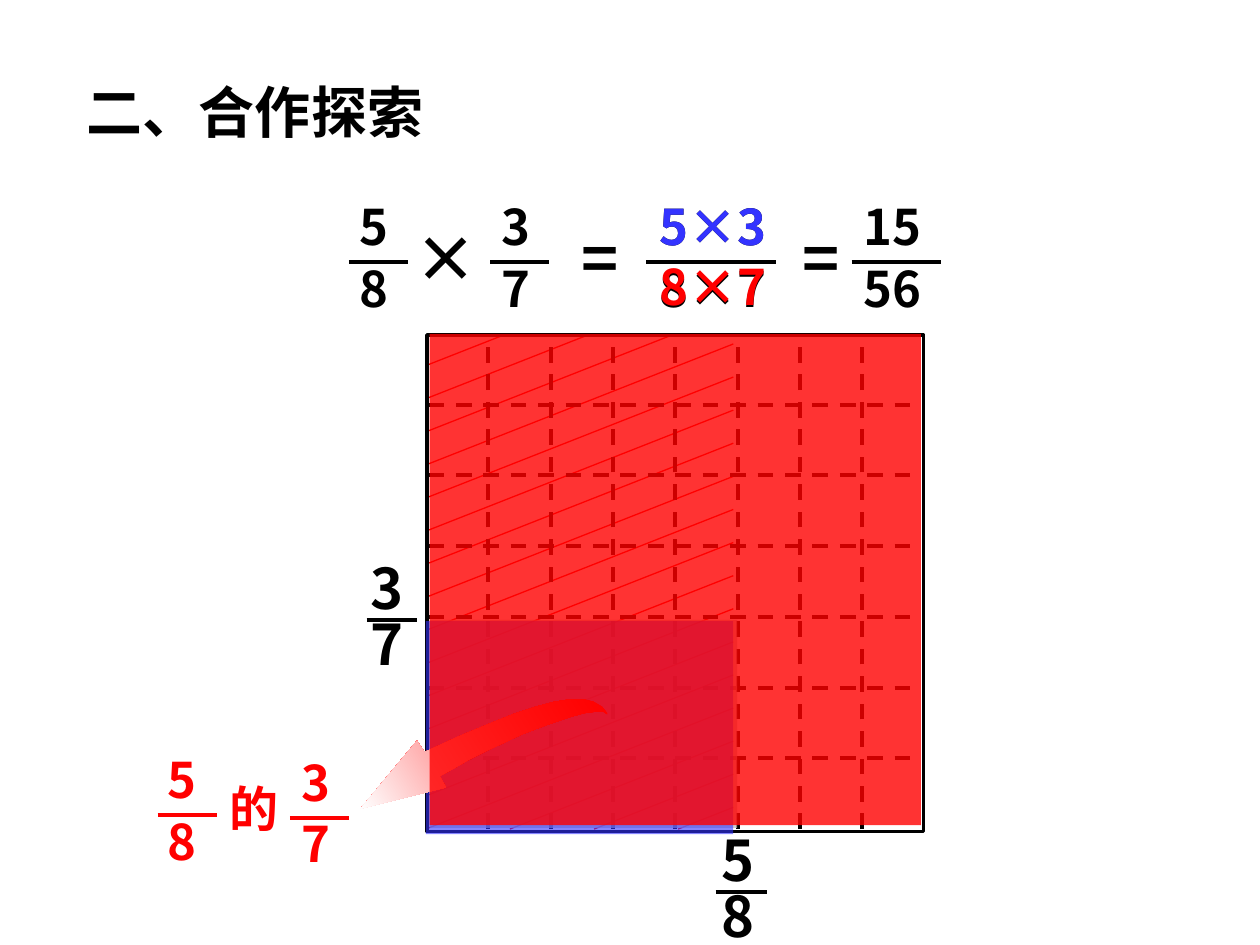
from lxml import etree
from pptx import Presentation
from pptx.dml import color
from pptx.enum import dml, shapes, text
from pptx.oxml import ns
from pptx.util import Inches, Pt

FONT = "Noto Sans CJK SC"
LEFT, TOP, RIGHT, BOTTOM = 3.38, 2.65, 7.34, 6.58
ARROW = [
    (4.82, 5.66), (4.78, 5.61), (4.71, 5.57), (4.63, 5.55), (4.53, 5.55),
    (4.4, 5.57), (4.25, 5.61), (4.07, 5.67), (3.87, 5.75), (3.63, 5.85),
    (3.37, 5.97), (3.31, 5.88), (2.86, 6.42), (3.54, 6.25), (3.49, 6.16),
    (3.6, 6.1), (3.72, 6.03), (3.86, 5.96), (3.99, 5.9), (4.14, 5.83),
    (4.27, 5.78), (4.41, 5.73), (4.53, 5.69), (4.64, 5.66), (4.72, 5.65),
    (4.79, 5.65), (4.82, 5.67),
]


def rgb(value):
    return color.RGBColor.from_string(value)


def write(sp, value, size=28, fill="000000", font=FONT, align=text.PP_ALIGN.CENTER,
          anchor=text.MSO_ANCHOR.TOP):
    tf = sp.text_frame
    tf.word_wrap = True
    tf.auto_size = text.MSO_AUTO_SIZE.NONE
    tf.vertical_anchor = anchor
    p = tf.paragraphs[0]
    p.alignment = align
    r = p.add_run()
    r.text = value
    r.font.name = font
    r.font.size = Pt(size)
    r.font.bold = True
    r.font.color.rgb = rgb(fill)
    ea = etree.SubElement(r._r.get_or_add_rPr(), ns.qn("a:ea"))
    ea.set("typeface", FONT)


def add_text(slide, value, x, y, w, h, **fmt):
    sp = slide.shapes.add_textbox(Inches(x), Inches(y), Inches(w), Inches(h))
    write(sp, value, **fmt)


def add_line(slide, x1, y1, x2, y2, line="000000", width=2.25, dashed=False):
    sp = slide.shapes.add_connector(
        shapes.MSO_CONNECTOR.STRAIGHT, Inches(x1), Inches(y1), Inches(x2), Inches(y2))
    sp.line.color.rgb = rgb(line)
    sp.line.width = Pt(width)
    if dashed:
        sp.line.dash_style = dml.MSO_LINE.DASH
    etree.SubElement(sp._element.spPr, ns.qn("a:effectLst"))


def add_rect(slide, x, y, w, h, fill=None, alpha=100):
    sp = slide.shapes.add_shape(
        shapes.MSO_SHAPE.RECTANGLE, Inches(x), Inches(y), Inches(w), Inches(h))
    sp.shadow.inherit = False
    if fill:
        sp.fill.solid()
        sp.fill.fore_color.rgb = rgb(fill)
        sp.line.fill.background()
        clr = sp._element.spPr.find(".//" + ns.qn("a:srgbClr"))
        etree.SubElement(clr, ns.qn("a:alpha")).set("val", str(alpha * 1000))
    else:
        sp.fill.background()
        sp.line.color.rgb = rgb("000000")
        sp.line.width = Pt(2.25)


def add_fraction(slide, top, bottom, x, y, w, bar, size=28, fill="000000"):
    h, step, drop = (0.57, 0.49, 0.57) if size == 28 else (0.64, 0.45, 0.58)
    add_text(slide, top, x, y, w, h, size=size, fill=fill)
    add_text(slide, bottom, x, y + step, w, h, size=size, fill=fill)
    add_line(slide, bar[0], y + drop, bar[1], y + drop, line=fill)


def add_hatching(slide):
    right, rise, gap = 5.82, 0.96, 0.2627
    run = right - LEFT
    for i in range(-3, 15):
        y = 2.73 + gap * i
        y1, y2 = max(y, TOP), min(y + rise, BOTTOM)
        x1 = right - (y1 - y) / rise * run
        x2 = right - (y2 - y) / rise * run
        add_line(slide, x1, y1, x2, y2, line="FF0000", width=0.75)


def add_grid(slide):
    add_rect(slide, 3.39, 2.66, 3.94, 3.94)
    for i in range(1, 7):
        y = TOP + (BOTTOM - TOP) / 7 * i
        add_line(slide, 3.4, y, RIGHT, y, dashed=True)
    for i in range(1, 8):
        x = LEFT + (RIGHT - LEFT) / 8 * i
        add_line(slide, x, BOTTOM, x, TOP, dashed=True)


def add_arrow(slide):
    points = [(Inches(x), Inches(y)) for x, y in ARROW]
    builder = slide.shapes.build_freeform(*points[0])
    builder.add_line_segments(points[1:], close=True)
    sp = builder.convert_to_shape()
    sp.shadow.inherit = False
    sp.line.fill.background()
    sp.fill.gradient()
    sp.fill.gradient_angle = 212
    for stop, value in zip(sp.fill.gradient_stops, ("FF0000", "FFFFFF")):
        stop.color.rgb = rgb(value)


def add_title(slide):
    sp = slide.shapes.title
    sp.left, sp.top, sp.width, sp.height = map(Inches, (0.59, 0.59, 3.54, 0.59))
    write(sp, "二、合作探索", size=32, font="Arial", align=text.PP_ALIGN.LEFT,
          anchor=text.MSO_ANCHOR.MIDDLE)


def add_equation(slide):
    add_fraction(slide, "5", "8", 2.69, 1.51, 0.55, (2.77, 3.24))
    add_fraction(slide, "3", "7", 3.82, 1.51, 0.55, (3.89, 4.36))
    add_fraction(slide, "5×3", "8×7", 4.92, 1.51, 1.48, (5.13, 6.16))
    add_text(slide, "5×3", 4.92, 1.51, 1.48, 0.57, fill="3333FF")
    add_text(slide, "8×7", 4.92, 1.99, 1.48, 0.57, fill="FF0000")
    add_fraction(slide, "15", "56", 6.64, 1.51, 0.88, (6.76, 7.47))
    for sign, x in (("×", 3.19), ("=", 4.52), ("=", 6.27)):
        add_text(slide, sign, x, 1.69, 0.78, 0.7, size=36, align=text.PP_ALIGN.LEFT)


def main():
    prs = Presentation()
    prs.slide_width, prs.slide_height = Inches(10), Inches(7.5)
    slide = prs.slides.add_slide(prs.slide_layouts[5])
    add_title(slide)
    add_hatching(slide)
    add_grid(slide)
    add_fraction(slide, "3", "7", 2.84, 4.34, 0.47, (2.91, 3.31), size=32)
    add_fraction(slide, "5", "8", 5.62, 6.5, 0.47, (5.68, 6.09), size=32)
    add_equation(slide)
    add_rect(slide, 3.41, 4.92, 2.44, 1.65, fill="C0C0C0", alpha=74)
    add_rect(slide, 3.38, 4.93, 2.44, 1.69, fill="3333FF", alpha=60)
    add_fraction(slide, "5", "8", 1.17, 5.9, 0.55, (1.25, 1.72), fill="FF0000")
    add_text(slide, "的", 1.72, 6.13, 0.73, 0.57, fill="FF0000", align=text.PP_ALIGN.LEFT)
    add_fraction(slide, "3", "7", 2.23, 5.92, 0.55, (2.3, 2.77), fill="FF0000")
    add_arrow(slide)
    add_rect(slide, 3.41, 2.65, 3.9, 3.9, fill="FF0000", alpha=80)
    prs.save("out.pptx")


if __name__ == "__main__":
    main()
